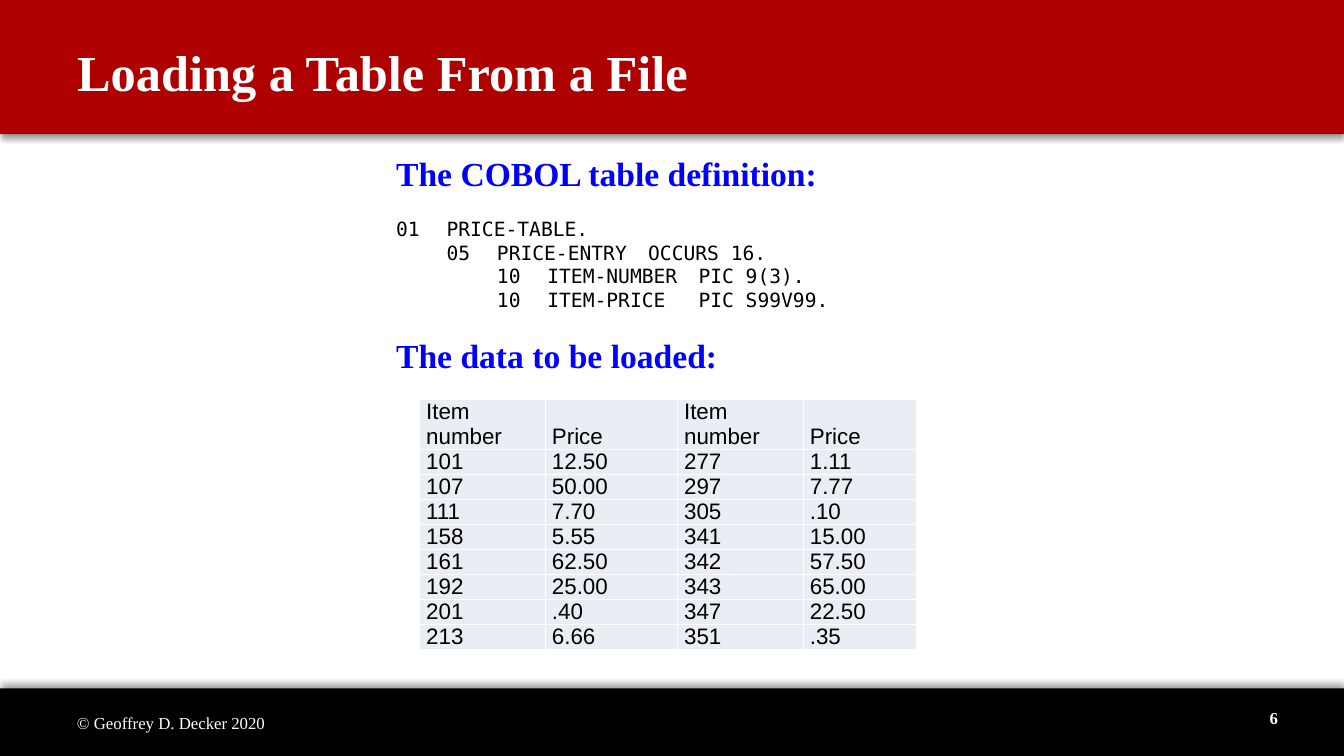
from lxml.etree import SubElement
from pptx import Presentation
from pptx.dml.color import RGBColor
from pptx.enum.shapes import MSO_SHAPE
from pptx.enum.text import MSO_ANCHOR, MSO_AUTO_SIZE, PP_ALIGN
from pptx.oxml.ns import qn
from pptx.util import Cm, Pt

BLACK = RGBColor(0x00, 0x00, 0x00)
WHITE = RGBColor(0xFF, 0xFF, 0xFF)
RED = RGBColor(0xAF, 0x00, 0x00)
BLUE = RGBColor(0x00, 0x00, 0xFF)
PALE_BLUE = RGBColor(0xE9, 0xED, 0xF4)

SERIF, SANS, MONO = "Times New Roman", "Arial", "DejaVu Sans Mono"
SLIDE_WIDTH, SLIDE_HEIGHT = Cm(33.87), Cm(19.05)

CODE_CHARACTER = 0.297  # width in cm at 14 points
CODE_COLUMNS = (4, 8, 12, 28)
CODE_LINES = (
    "01\tPRICE-TABLE.",
    "\t05\tPRICE-ENTRY\tOCCURS 16.",
    "\t\t10\tITEM-NUMBER\tPIC 9(3).",
    "\t\t10\tITEM-PRICE\tPIC S99V99.",
)
PRICE_ROWS = (
    ("Item number", "Price", "Item number", "Price"),
    ("101", "12.50", "277", "1.11"),
    ("107", "50.00", "297", "7.77"),
    ("111", "7.70", "305", ".10"),
    ("158", "5.55", "341", "15.00"),
    ("161", "62.50", "342", "57.50"),
    ("192", "25.00", "343", "65.00"),
    ("201", ".40", "347", "22.50"),
    ("213", "6.66", "351", ".35"),
)
COLUMN_WIDTHS = (3.17, 3.33, 3.17, 2.85)


def write(paragraph, text, font=SERIF, size=12, color=BLACK, bold=False,
          align=PP_ALIGN.LEFT, before=0):
    paragraph.alignment = align
    paragraph.space_before = Pt(before)
    run = paragraph.add_run()
    run.text = text
    run.font.name = font
    run.font.size = Pt(size)
    run.font.bold = bold
    run.font.color.rgb = color


def place(shape, left, top, width, height):
    shape.left, shape.top, shape.width, shape.height = left, top, width, height
    frame = shape.text_frame
    frame.word_wrap = True
    frame.auto_size = MSO_AUTO_SIZE.NONE
    frame.vertical_anchor = MSO_ANCHOR.MIDDLE
    return frame


def add_band(slide, top, height, color, shadow_angle):
    """Draw a full-width band behind the other shapes."""
    band = slide.shapes.add_shape(MSO_SHAPE.RECTANGLE, 0, top, SLIDE_WIDTH, height)
    band.shadow.inherit = False
    band.fill.solid()
    band.fill.fore_color.rgb = color
    band.line.fill.background()
    effects = band._element.spPr.find(qn("a:effectLst"))
    shadow = SubElement(effects, qn("a:outerShdw"), blurRad=str(Pt(4)),
                        dist=str(Pt(3)), dir=str(shadow_angle * 60000), rotWithShape="0")
    shade = SubElement(shadow, qn("a:srgbClr"), val=str(BLACK))
    SubElement(shade, qn("a:alpha"), val="40000")
    slide.shapes._spTree.insert(2, band._element)


def add_header(slide, top, height):
    add_band(slide, top, height, RED, 90)
    frame = place(slide.shapes.title, Cm(1.69), top + Cm(0.9), Cm(23.14), Cm(1.8))
    write(frame.paragraphs[0], "Loading a Table From a File", size=36, color=WHITE, bold=True)


def add_footer(slide, top, height):
    add_band(slide, top, height, BLACK, 270)
    copyright_box = slide.shapes.add_textbox(0, 0, 0, 0)
    frame = place(copyright_box, Cm(1.69), top + Cm(0.36), Cm(10.72), Cm(1.02))
    write(frame.paragraphs[0], "© Geoffrey D. Decker 2020", color=WHITE)
    number_box = slide.shapes.add_textbox(0, 0, 0, 0)
    frame = place(number_box, Cm(27.38), top + Cm(0.22), Cm(5.08), Cm(1.02))
    write(frame.paragraphs[0], "6", color=WHITE, bold=True, align=PP_ALIGN.RIGHT)


def set_code_tabs(paragraph):
    """Remove the bullet and set tab stops at the code columns."""
    properties = paragraph._p.get_or_add_pPr()
    properties.set("marL", "0")
    properties.set("indent", "0")
    SubElement(properties, qn("a:buNone"))
    tabs = SubElement(properties, qn("a:tabLst"))
    for column in CODE_COLUMNS:
        SubElement(tabs, qn("a:tab"), pos=str(Cm(column * CODE_CHARACTER)), algn="l")


def add_definition(slide, left, top, width, height):
    frame = place(slide.placeholders[1], left, top, width, height)
    heading = {"size": 24, "color": BLUE, "bold": True}
    code = {"font": MONO, "size": 14}
    lines = [("The COBOL table definition:", heading)]
    lines += [(line, code) for line in CODE_LINES]
    lines.append(("The data to be loaded:", heading))
    for index, (text, style) in enumerate(lines):
        paragraph = frame.add_paragraph() if index else frame.paragraphs[0]
        starts_block = index in (1, len(lines) - 1)
        write(paragraph, text, before=17 if starts_block else 0, **style)
        set_code_tabs(paragraph)


def format_cell(cell, text):
    cell.margin_left = cell.margin_right = Cm(0.17)
    cell.margin_top = cell.margin_bottom = 0
    cell.vertical_anchor = MSO_ANCHOR.BOTTOM
    write(cell.text_frame.paragraphs[0], text, font=SANS, size=16)
    properties = cell._tc.get_or_add_tcPr()
    for side in ("lnL", "lnR", "lnT", "lnB"):
        border = SubElement(properties, qn(f"a:{side}"), w=str(Pt(1)))
        fill = SubElement(border, qn("a:solidFill"))
        SubElement(fill, qn("a:srgbClr"), val=str(WHITE))
    cell.fill.solid()
    cell.fill.fore_color.rgb = PALE_BLUE


def add_price_table(slide, left, top, row_height):
    """The header row holds two lines of text, every other row one."""
    count = len(PRICE_ROWS)
    frame = slide.shapes.add_table(count, len(COLUMN_WIDTHS), left, top,
                                   Cm(sum(COLUMN_WIDTHS)), row_height * (count + 1))
    table = frame.table
    table.first_row = table.horz_banding = False
    for column, width in zip(table.columns, COLUMN_WIDTHS):
        column.width = Cm(width)
    for index, (row, values) in enumerate(zip(table.rows, PRICE_ROWS)):
        row.height = row_height if index else row_height * 2
        for cell, value in zip(row.cells, values):
            format_cell(cell, value)


def main():
    presentation = Presentation()
    presentation.slide_width, presentation.slide_height = SLIDE_WIDTH, SLIDE_HEIGHT
    slide = presentation.slides.add_slide(presentation.slide_layouts[1])
    add_header(slide, 0, Cm(3.38))
    add_footer(slide, Cm(17.35), Cm(1.7))
    add_definition(slide, Cm(9.73), Cm(3.71), Cm(14.4), Cm(5.89))
    add_price_table(slide, Cm(10.57), Cm(10.06), Cm(0.63))
    presentation.save("out.pptx")


if __name__ == "__main__":
    main()
